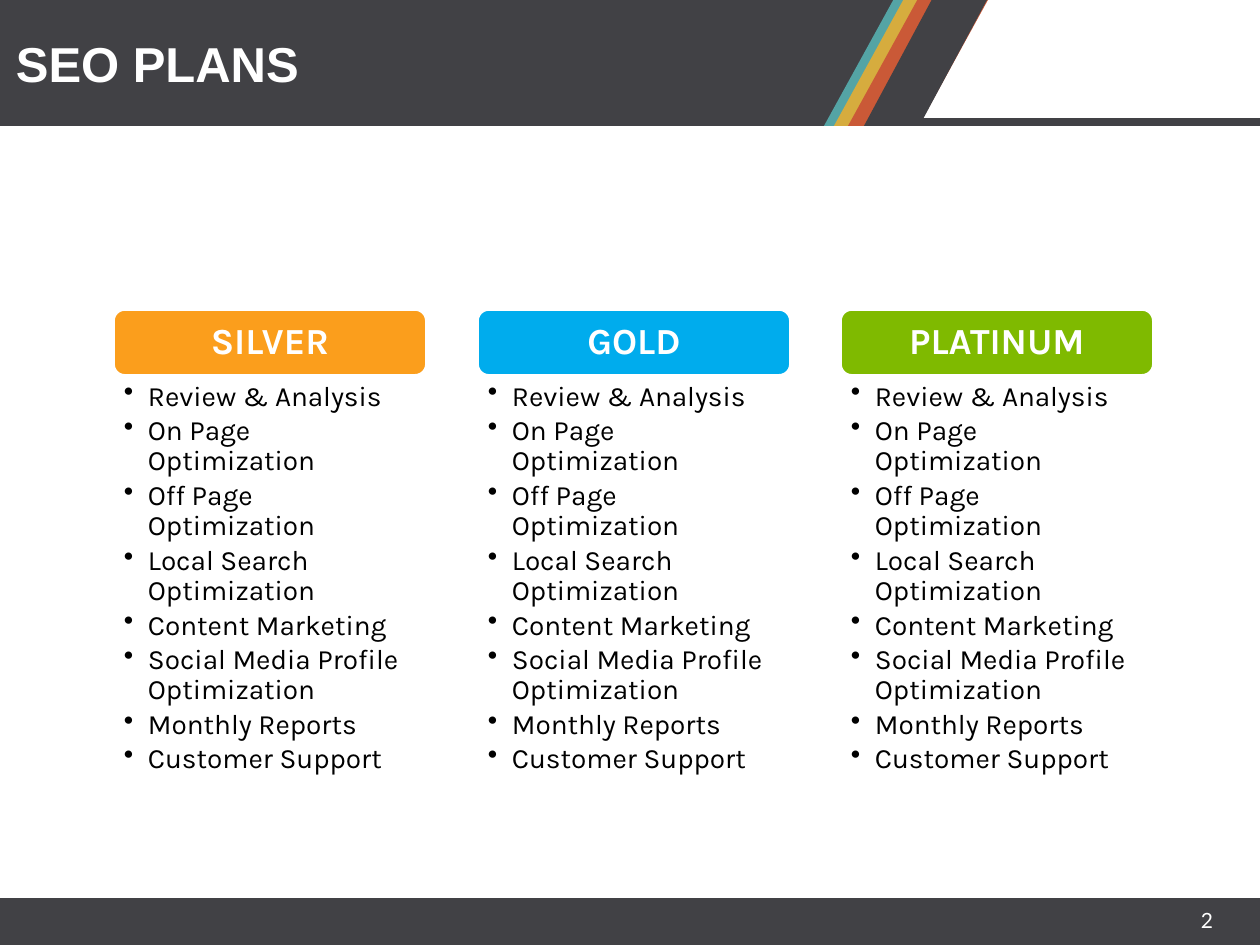
"""Build the SEO plans slide: a striped header, three plan columns and a footer."""
from lxml import etree
from pptx import Presentation
from pptx import util as u
from pptx.dml.color import RGBColor
from pptx.enum import shapes, text
from pptx.oxml.ns import qn

PX = 914400 / 126
COLORS = {
    "dark": "414145", "teal": "54A4A5", "yellow": "D6AC3E", "red": "CA5937",
    "orange": "FB9404", "blue": "00ACED", "green": "7FBA00",
    "white": "FFFFFF", "black": "000000",
}
FEATURES = [
    "Review & Analysis", "On Page Optimization", "Off Page Optimization",
    "Local Search Optimization", "Content Marketing",
    "Social Media Profile Optimization", "Monthly Reports", "Customer Support",
]

prs = Presentation()
prs.slide_width, prs.slide_height = round(1260 * PX), round(945 * PX)
slide = prs.slides.add_slide(prs.slide_layouts[6])


def add_block(preset, box, color):
    block = slide.shapes.add_shape(preset, *(round(v * PX) for v in box))
    block.shadow.inherit = False
    block.fill.solid()
    block.fill.fore_color.rgb = RGBColor.from_string(COLORS[color])
    block.line.fill.background()
    return block


def write(frame, lines, font, size, color, align, insets, bold=False):
    frame.word_wrap = True
    frame.margin_left, frame.margin_top, frame.margin_right, frame.margin_bottom = (
        round(v * PX) for v in insets)
    frame.text = "\n".join(lines)
    for line in frame.paragraphs:
        line.alignment = align
        line.font.name, line.font.size, line.font.bold = font, u.Pt(size), bold
        line.font.color.rgb = RGBColor.from_string(COLORS[color])


for bar in [(0, 118, 1260, 8), (0, 0, 921, 126), (0, 898, 1260, 47)]:
    add_block(shapes.MSO_SHAPE.RECTANGLE, bar, "dark")

for left, width, color in [(824, 140, "teal"), (834, 140, "yellow"),
                           (848, 140, "red"), (864, 123, "dark")]:
    stripe = add_block(shapes.MSO_SHAPE.PARALLELOGRAM, (left, 0, width, 126), color)
    stripe.adjustments[0] = 0.55

title = slide.shapes.add_textbox(*(round(v * PX) for v in (16, 0, 1223, 126))).text_frame
write(title, ["SEO PLANS"], "Arial", 28, "white", text.PP_ALIGN.LEFT, (0, 13, 13, 13), True)
title.vertical_anchor = text.MSO_ANCHOR.MIDDLE

number = slide.shapes.add_textbox(*(round(v * PX) for v in (974, 902, 252, 42))).text_frame
write(number, ["2"], "Lato", 12, "white", text.PP_ALIGN.RIGHT, (13, 6, 13, 6))

for column, (plan, color) in enumerate(
        [("SILVER", "orange"), ("GOLD", "blue"), ("PLATINUM", "green")]):
    left = 114 + round(363.5 * column)
    header = add_block(shapes.MSO_SHAPE.ROUNDED_RECTANGLE, (left, 310, 312, 65), color)
    header.line.color.rgb = RGBColor.from_string(COLORS["white"])
    header.line.width = u.Pt(1)
    if plan == "SILVER":
        tint = header.fill._xPr.find(qn("a:solidFill"))[0]
        etree.SubElement(tint, qn("a:alpha"), val="90000")
    write(header.text_frame, [plan], "Karla", 21, "white", text.PP_ALIGN.CENTER,
          (11, 11, 11, 11), True)
    header.text_frame.vertical_anchor = text.MSO_ANCHOR.MIDDLE
    header.text_frame.paragraphs[0].line_spacing = 0.9

    features = slide.shapes.add_textbox(
        *(round(v * PX) for v in (left, 378, 312, 341))).text_frame
    write(features, FEATURES, "Karla", 16, "black", text.PP_ALIGN.LEFT, (10, 4, 20, 4))
    for feature in features.paragraphs:
        feature.line_spacing = 0.9
        feature.space_after = u.Pt(2.5)
        props = feature._p.get_or_add_pPr()
        props.set("marL", str(round(24 * PX)))
        props.set("indent", str(round(-24 * PX)))
        bullet = etree.Element(qn("a:buChar"), char="•")
        props.find(qn("a:defRPr")).addprevious(bullet)

prs.save("out.pptx")
